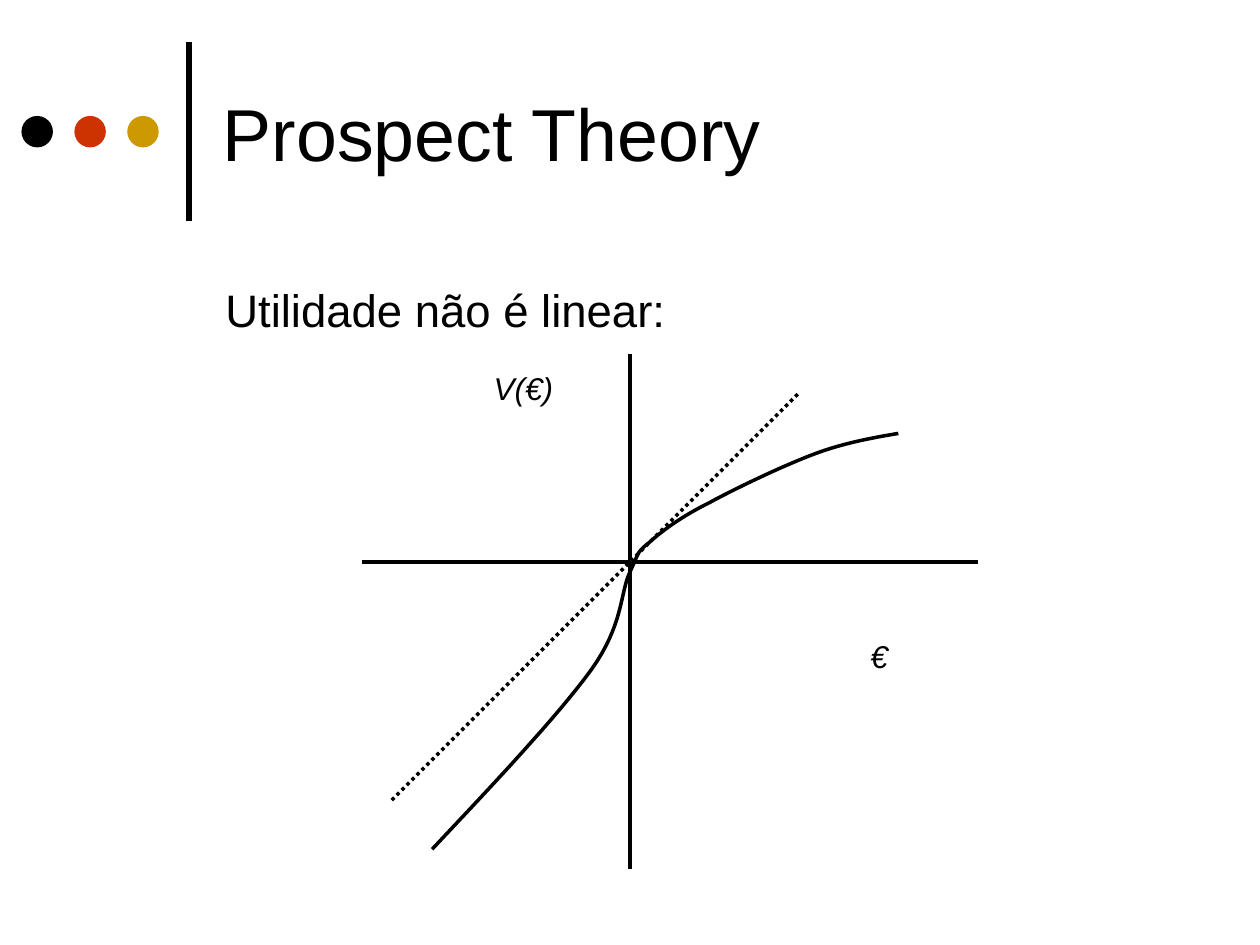
from lxml import etree
from pptx import Presentation
from pptx import util as u
from pptx.dml import color as c
from pptx.enum import dml, shapes, text
from pptx.oxml import ns

BLACK = "000000"
DOT_COLORS = [BLACK, "CC3300", "CC9900"]

# Value function: start point, then cubic segments (control, control, end)
CURVE_START = (3.43, 6.74)
CURVE_SEGMENTS = [
    ((3.92, 6.22), (4.42, 5.69), (4.69, 5.32)),
    ((4.95, 4.96), (4.92, 4.71), (5, 4.54)),
    ((5.08, 4.37), (5.05, 4.39), (5.16, 4.3)),
    ((5.26, 4.21), (5.41, 4.1), (5.63, 3.99)),
    ((5.85, 3.87), (6.25, 3.68), (6.5, 3.59)),
    ((6.75, 3.5), (7.02, 3.46), (7.13, 3.44)),
]
STEPS = 16


def color(value):
    return c.RGBColor.from_string(value)


def inches(values):
    return [u.Inches(value) for value in values]


def add_line(slide, start, end, width=2, dash=None):
    line = slide.shapes.add_connector(
        shapes.MSO_CONNECTOR.STRAIGHT, *inches(start), *inches(end))
    line.line.color.rgb = color(BLACK)
    line.line.width = u.Pt(width)
    if dash:
        line.line.dash_style = dash
    etree.SubElement(line._element.spPr, ns.qn("a:effectLst"))


def add_dot(slide, left, top, size, fill):
    dot = slide.shapes.add_shape(
        shapes.MSO_SHAPE.OVAL, *inches((left, top, size, size)))
    dot.shadow.inherit = False
    dot.fill.solid()
    dot.fill.fore_color.rgb = color(fill)
    dot.line.fill.background()


def add_text(slide, box, content, size, italic=False, spacing=None,
             anchor=text.MSO_ANCHOR.TOP):
    shape = slide.shapes.add_textbox(*inches(box))
    frame = shape.text_frame
    frame.word_wrap = True
    frame.vertical_anchor = anchor
    paragraph = frame.paragraphs[0]
    if spacing:
        paragraph.line_spacing = spacing
    run = paragraph.add_run()
    run.text = content
    run.font.name = "Arial"
    run.font.size = u.Pt(size)
    run.font.italic = italic
    run.font.color.rgb = color(BLACK)


def curve_points():
    """Sample each cubic segment at equal steps."""
    start = CURVE_START
    points = []
    for first, second, end in CURVE_SEGMENTS:
        for step in range(1, STEPS + 1):
            t = step / STEPS
            s = 1 - t
            points.append([
                s**3 * p0 + 3 * s**2 * t * p1 + 3 * s * t**2 * p2 + t**3 * p3
                for p0, p1, p2, p3 in zip(start, first, second, end)])
        start = end
    return points


def add_curve(slide):
    # The builder rounds to whole units, so points are given in EMU
    builder = slide.shapes.build_freeform(*inches(CURVE_START), scale=1.0)
    builder.add_line_segments([inches(point) for point in curve_points()], close=False)
    curve = builder.convert_to_shape()
    curve.shadow.inherit = False
    curve.fill.background()
    curve.line.color.rgb = color(BLACK)
    curve.line.width = u.Pt(2)


def main():
    presentation = Presentation()
    presentation.slide_width = u.Inches(10)
    presentation.slide_height = u.Inches(7.5)
    slide = presentation.slides.add_slide(presentation.slide_layouts[6])

    # Heading with its rule and dots
    add_line(slide, (1.5, 1.75), (1.5, 0.33), width=3)
    for index, fill in enumerate(DOT_COLORS):
        add_dot(slide, 0.17 + 0.42 * index, 0.92, 0.25, fill)
    add_text(slide, (1.67, 0.21, 7.67, 1.67), "Prospect Theory", 42,
             anchor=text.MSO_ANCHOR.MIDDLE)

    # Statement
    add_text(slide, (1.69, 2.1, 7.67, 4.5), "Utilidade não é linear:", 26, spacing=1.2)

    # Axes, value curve and axis labels
    add_line(slide, (2.87, 4.46), (7.76, 4.46))
    add_line(slide, (5, 2.81), (5, 6.9))
    add_curve(slide)
    add_text(slide, (6.81, 5.01, 0.95, 0.4), "€", 18, italic=True)
    add_text(slide, (3.82, 2.88, 0.95, 0.4), "V(€)", 18, italic=True)

    # Linear reference
    add_line(slide, (3.11, 6.35), (6.34, 3.12), dash=dml.MSO_LINE.ROUND_DOT)

    presentation.save("out.pptx")


if __name__ == "__main__":
    main()
